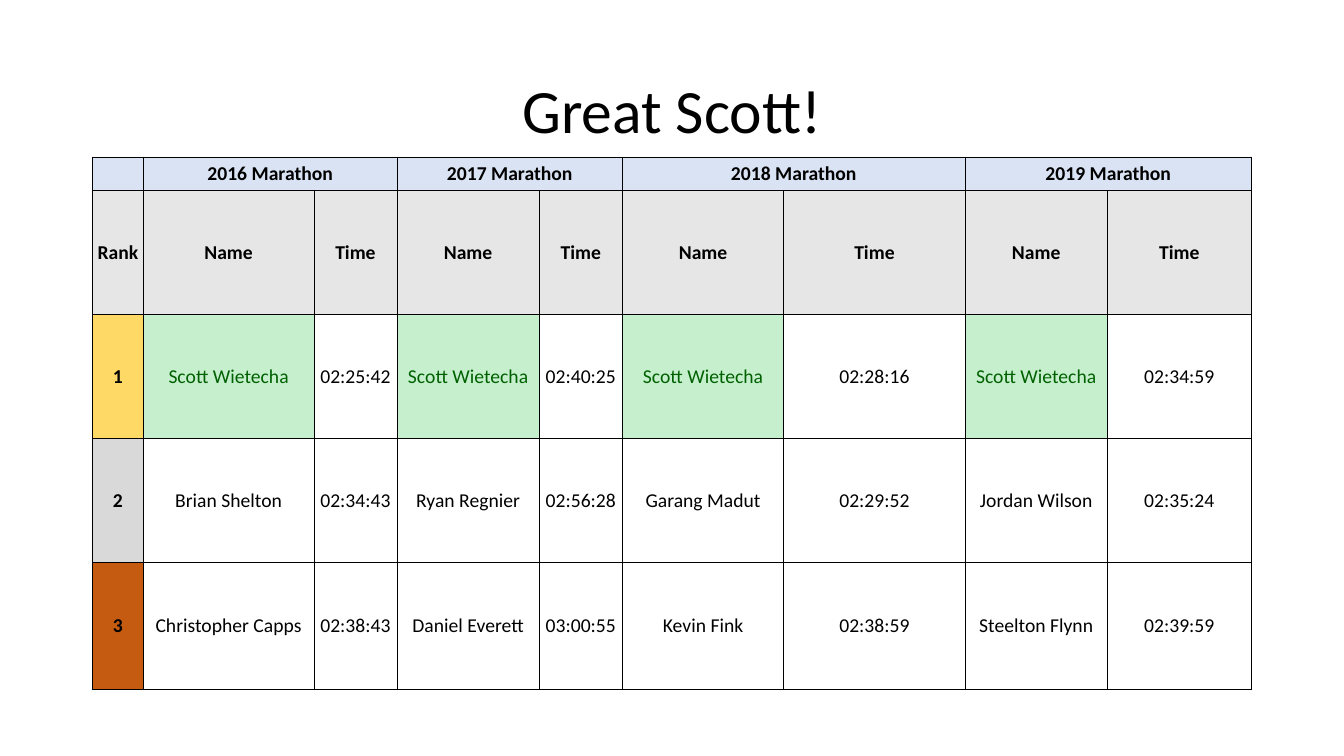
"""Build a slide with a table of the top three marathon finishers per year."""
from lxml.etree import SubElement
from pptx import Presentation
from pptx.dml.color import RGBColor
from pptx.enum.text import MSO_ANCHOR, PP_ALIGN
from pptx.oxml.ns import qn
from pptx.util import Pt

COLORS = {
    "black": "000000",
    "year": "DAE3F3",
    "heading": "E7E6E6",
    "gold": "FFD966",
    "silver": "D9D9D9",
    "bronze": "C55A11",
    "winner": "C6EFCE",
    "winner_text": "006100",
}
YEARS = [2016, 2017, 2018, 2019]
FINISHERS = [
    ["1", "Scott Wietecha", "02:25:42", "Scott Wietecha", "02:40:25",
     "Scott Wietecha", "02:28:16", "Scott Wietecha", "02:34:59"],
    ["2", "Brian Shelton", "02:34:43", "Ryan Regnier", "02:56:28",
     "Garang Madut", "02:29:52", "Jordan Wilson", "02:35:24"],
    ["3", "Christopher Capps", "02:38:43", "Daniel Everett", "03:00:55",
     "Kevin Fink", "02:38:59", "Steelton Flynn", "02:39:59"],
]
MEDALS = ["gold", "silver", "bronze"]
COLUMN_WIDTHS = [36.5, 121.7, 59.5, 101.5, 59.5, 115.2, 129.6, 101.5, 103]
ROW_HEIGHTS = [23.8, 88.6, 88.6, 88.6, 90.6]


def write_text(frame, text, size=14, bold=False, color="black", spacing=1.0):
    paragraph = frame.paragraphs[0]
    paragraph.alignment = PP_ALIGN.CENTER
    paragraph.line_spacing = spacing
    run = paragraph.add_run()
    run.text = text
    run.font.name = "Calibri"
    run.font.size = Pt(size)
    run.font.bold = bold
    run.font.color.rgb = RGBColor.from_string(COLORS[color])


def add_border(cell, side, width):
    line = SubElement(cell._tc.get_or_add_tcPr(), qn(f"a:ln{side}"), w=str(Pt(width)))
    fill = SubElement(line, qn("a:solidFill"))
    SubElement(fill, qn("a:srgbClr"), val=COLORS["black"])


presentation = Presentation()
presentation.slide_width = Pt(960)
presentation.slide_height = Pt(540)
slide = presentation.slides.add_slide(presentation.slide_layouts[6])

title = slide.shapes.add_textbox(Pt(66), Pt(28.8), Pt(828), Pt(104.4))
title.text_frame.word_wrap = True
title.text_frame.vertical_anchor = MSO_ANCHOR.MIDDLE
write_text(title.text_frame, "Great Scott!", size=44, spacing=0.9)

year_row = [""]
heading_row = ["Rank"]
for year in YEARS:
    year_row += [f"{year} Marathon", ""]
    heading_row += ["Name", "Time"]
rows = [year_row, heading_row] + FINISHERS

table = slide.shapes.add_table(
    len(rows), len(COLUMN_WIDTHS), Pt(66), Pt(112.3), Pt(828), Pt(sum(ROW_HEIGHTS))
).table
table.first_row = False
table.horz_banding = False
for column, width in zip(table.columns, COLUMN_WIDTHS):
    column.width = Pt(width)
for row, height in zip(table.rows, ROW_HEIGHTS):
    row.height = Pt(height)

for row_index, values in enumerate(rows):
    for column_index, text in enumerate(values):
        cell = table.cell(row_index, column_index)
        cell.margin_left = cell.margin_right = cell.margin_top = cell.margin_bottom = 0
        cell.vertical_anchor = MSO_ANCHOR.MIDDLE

        is_name = column_index % 2 == 1
        is_time = column_index > 0 and not is_name
        add_border(cell, "L", 0.5 if is_time and row_index > 0 else 1)
        add_border(cell, "R", 0.5 if is_name and row_index > 0 else 1)
        add_border(cell, "T", 0.5 if row_index > 2 else 1)
        add_border(cell, "B", 0.5 if row_index in (2, 3) else 1)

        is_winner = row_index == 2 and is_name
        if row_index < 2:
            fill_name = ["year", "heading"][row_index]
        elif column_index == 0:
            fill_name = MEDALS[row_index - 2]
        else:
            fill_name = "winner" if is_winner else None
        if fill_name:
            cell.fill.solid()
            cell.fill.fore_color.rgb = RGBColor.from_string(COLORS[fill_name])
        else:
            cell.fill.background()

        if text:
            write_text(
                cell.text_frame, text,
                bold=row_index < 2 or column_index == 0,
                color="winner_text" if is_winner else "black",
            )

for name_column in range(1, len(COLUMN_WIDTHS), 2):
    table.cell(0, name_column).merge(table.cell(0, name_column + 1))

presentation.save("out.pptx")
